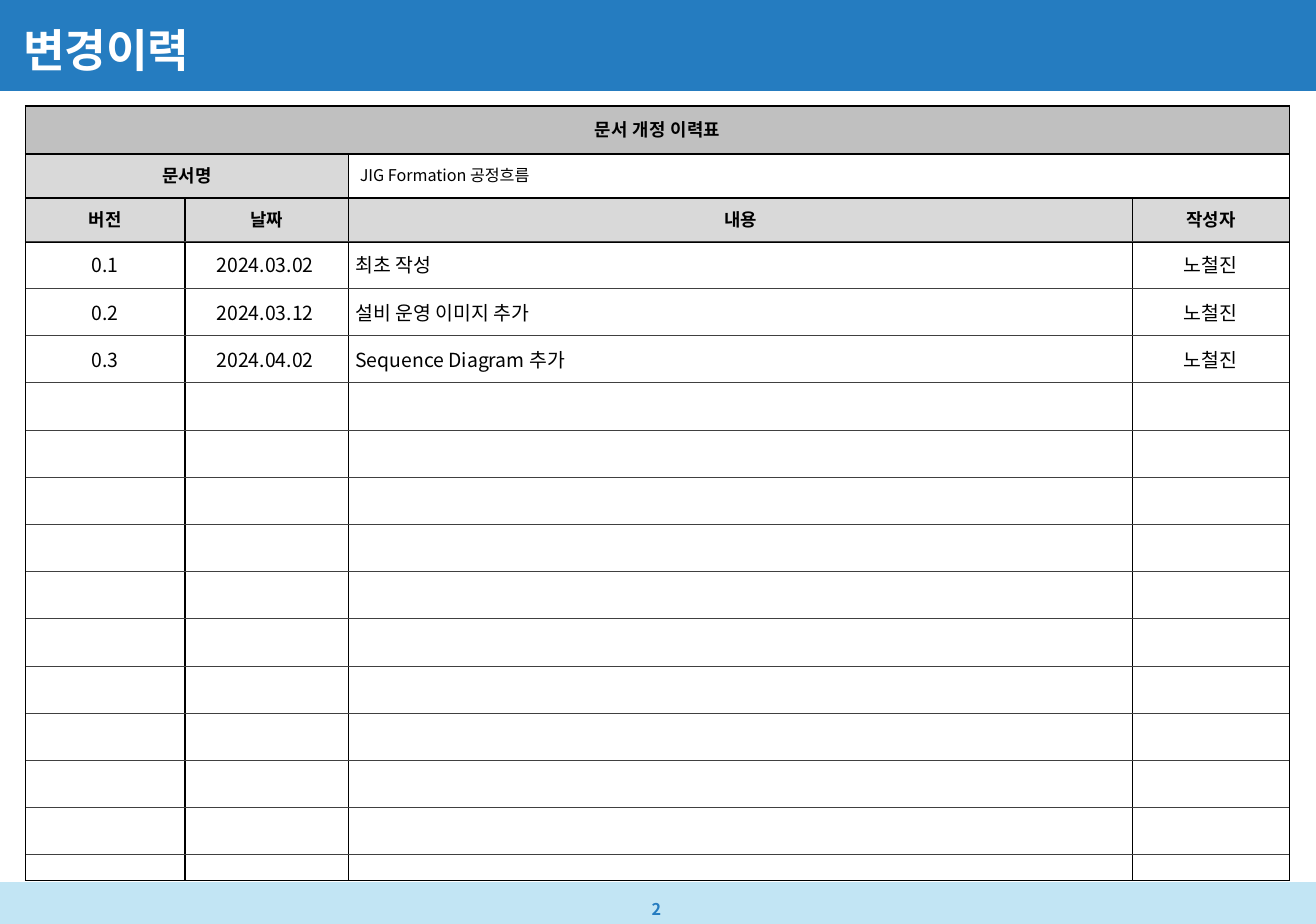
import lxml.etree
import pptx
import pptx.dml.color
import pptx.enum.shapes
import pptx.enum.text
import pptx.oxml.ns
import pptx.util

WIDTH, HEIGHT = pptx.util.Inches(11.3), pptx.util.Inches(7.93)
COLORS = {"band": "257CC0", "footer": "C2E5F4", "title_row": "C0C0C0", "label": "D9D9D9",
          "ink": "000000", "white": "FFFFFF", "rule": "404040"}
FONT, LABEL_FONT = "Noto Sans CJK KR", "Quicksand"
PLAIN_TABLE_STYLE = "{2D5ABB26-0587-4C30-8999-92F81FD0307C}"
LEFT, CENTER = pptx.enum.text.PP_ALIGN.LEFT, pptx.enum.text.PP_ALIGN.CENTER
MIDDLE, BOTTOM = pptx.enum.text.MSO_ANCHOR.MIDDLE, pptx.enum.text.MSO_ANCHOR.BOTTOM

# Column widths and row heights are percentages of the slide
FRAME_COLUMNS = (12.1, 12.45, 59.55, 11.95)
FRAME_ROWS = (5.2, 4.77, 4.77, 69.1)
FRAME_TEXTS = [("문서 개정 이력표", "", "", ""), ("문서명", "", "", ""),
               ("버전", "날짜", "내용", "작성자"), ("",) * 4]
FRAME_FILLS = [("title_row",) * 4, ("label", "label", None, None), ("label",) * 4, (None,) * 4]
FRAME_MERGES = [((0, 0), (0, 3)), ((1, 0), (1, 1)), ((1, 2), (1, 3))]
HISTORY_COLUMNS = (12.05, 12.3, 59.65, 12.03)
HISTORY_ROWS = (5.11,) * 13
HISTORY = [("0.1", "2024.03.02", "최초 작성", "노철진"),
           ("0.2", "2024.03.12", "설비 운영 이미지 추가", "노철진"),
           ("0.3", "2024.04.02", "Sequence Diagram 추가", "노철진")]


def rgb(name):
    return pptx.dml.color.RGBColor.from_string(COLORS[name])


def area(x, y, width, height):
    """Turn percentages of the slide into lengths."""
    return (round(WIDTH * x / 100), round(HEIGHT * y / 100),
            round(WIDTH * width / 100), round(HEIGHT * height / 100))


def add_element(parent, tag, **attributes):
    return lxml.etree.SubElement(parent, pptx.oxml.ns.qn(tag), attributes)


def write(para, text, size=12, font=FONT, color="ink", bold=False, align=LEFT, spacing=None):
    para.alignment = align
    para.line_spacing = spacing
    if not text:
        # Keeps empty rows from growing to the default text size
        add_element(para._p, "a:endParaRPr", sz=str(size * 100))
        return
    span = para.add_run()
    span.text = text
    span.font.size = pptx.util.Pt(size)
    span.font.bold = bold
    span.font.color.rgb = rgb(color)
    span.font.name = font
    add_element(span.font._element, "a:ea", typeface=font)


def set_margins(target, left, top, right, bottom):
    target.margin_left, target.margin_top, target.margin_right, target.margin_bottom = (
        pptx.util.Inches(length) for length in (left, top, right, bottom))


def add_band(page, y, height, color):
    band = page.shapes.add_shape(pptx.enum.shapes.MSO_SHAPE.RECTANGLE, *area(0, y, 100, height))
    band.shadow.inherit = False
    band.fill.solid()
    band.fill.fore_color.rgb = rgb(color)
    band.line.fill.background()


def add_text(page, text, place, margins, anchor=MIDDLE, **style):
    frame = page.shapes.add_textbox(*area(*place)).text_frame
    frame.word_wrap = True
    frame.vertical_anchor = anchor
    set_margins(frame, *margins)
    write(frame.paragraphs[0], text, **style)


def add_borders(cell, sides, color, width):
    properties = cell._tc.get_or_add_tcPr()
    for side in sides:
        line = add_element(properties, f"a:ln{side}", w=str(pptx.util.Pt(width)))
        add_element(add_element(line, "a:solidFill"), "a:srgbClr", val=COLORS[color])


def add_grid(page, x, y, columns, rows):
    """Add an unstyled table with the given column widths and row heights."""
    place = area(x, y, sum(columns), sum(rows))
    table = page.shapes.add_table(len(rows), len(columns), *place).table
    table.first_row = table.horz_banding = False
    table._tbl.find(".//" + pptx.oxml.ns.qn("a:tableStyleId")).text = PLAIN_TABLE_STYLE
    for column, width in zip(table.columns, columns):
        column.width = round(WIDTH * width / 100)
    for row, height in zip(table.rows, rows):
        row.height = round(HEIGHT * height / 100)
    return table


def fill_cell(cell, text, margins, fill=None, **style):
    cell.vertical_anchor = MIDDLE
    set_margins(cell, *margins)
    if fill:
        cell.fill.solid()
        cell.fill.fore_color.rgb = rgb(fill)
    else:
        cell.fill.background()
    write(cell.text_frame.paragraphs[0], text, **style)


def add_frame_table(page):
    table = add_grid(page, 1.95, 11.48, FRAME_COLUMNS, FRAME_ROWS)
    for row, (texts, fills) in enumerate(zip(FRAME_TEXTS, FRAME_FILLS)):
        for column, (text, fill) in enumerate(zip(texts, fills)):
            cell = table.cell(row, column)
            add_borders(cell, "LRTB", "ink", 1)
            fill_cell(cell, text, (0.08,) * 4, fill, size=11, font=LABEL_FONT,
                      bold=True, align=CENTER)
    for first, last in FRAME_MERGES:
        table.cell(*first).merge(table.cell(*last))


def add_history_table(page):
    table = add_grid(page, 1.95, 26.07, HISTORY_COLUMNS, HISTORY_ROWS)
    blank_rows = [("",) * 4] * (len(HISTORY_ROWS) - len(HISTORY))
    for row, texts in enumerate(HISTORY + blank_rows):
        for column, text in enumerate(texts):
            cell = table.cell(row, column)
            add_borders(cell, "TB", "rule", 0.25)
            fill_cell(cell, text, (0.08, 0.04, 0.08, 0.04),
                      align=LEFT if column == 2 else CENTER)


def main():
    deck = pptx.Presentation()
    deck.slide_width, deck.slide_height = WIDTH, HEIGHT
    page = deck.slides.add_slide(deck.slide_layouts[6])
    add_band(page, 0, 9.84, "band")
    add_band(page, 95.46, 4.54, "footer")
    add_text(page, "2", (44.74, 96.47, 10.27, 3.53), (0, 0.08, 0, 0.08),
             size=10, color="band", bold=True, align=CENTER, spacing=1.1)
    add_frame_table(page)
    add_text(page, "변경이력", (0.88, 1.26, 86.2, 7.06), (0.1, 0.05, 0.1, 0),
             anchor=BOTTOM, size=28, color="white", bold=True, spacing=0.9)
    add_text(page, "JIG Formation 공정흐름", (26.64, 16.9, 71.4, 4.4), (0.08, 0.04, 0.04, 0.04),
             size=10, spacing=0.9)
    add_history_table(page)
    deck.save("out.pptx")


if __name__ == "__main__":
    main()
